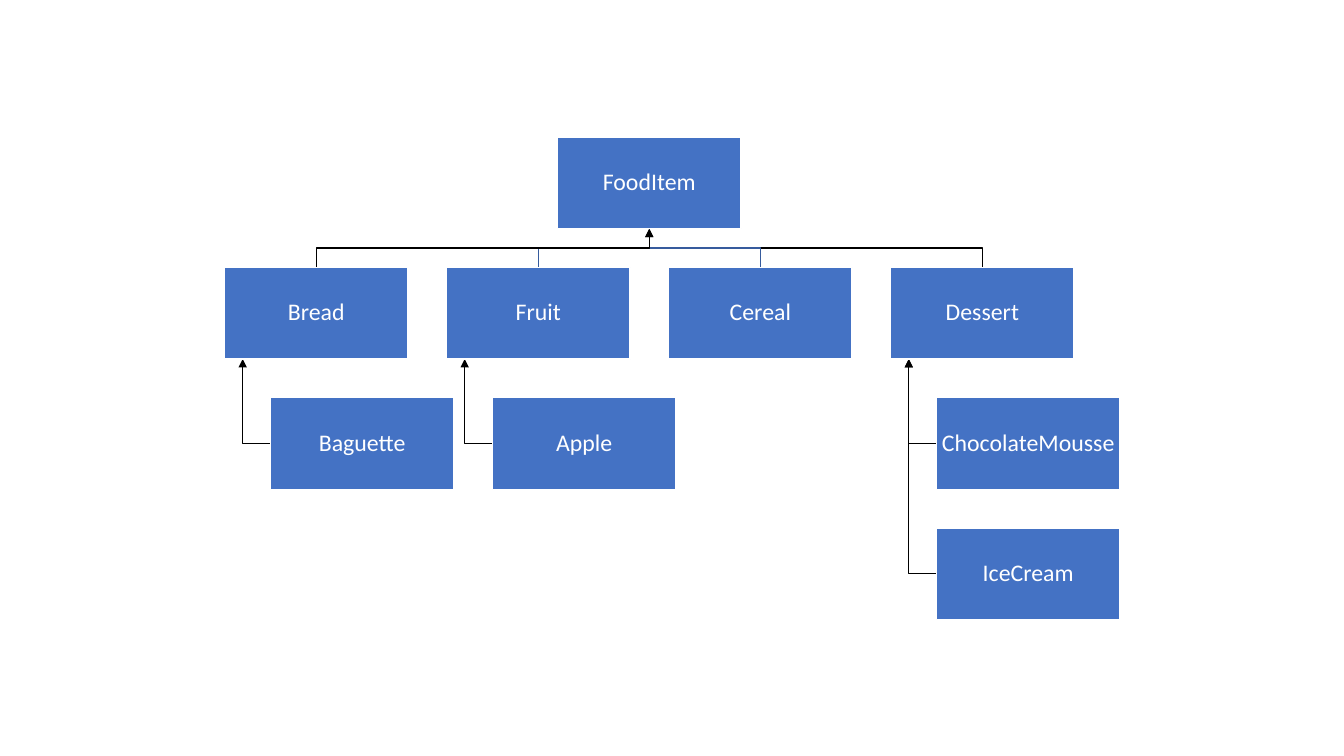
"""Build a class hierarchy slide for food items."""
from lxml import etree
from pptx import Presentation
from pptx.dml.color import RGBColor
from pptx.enum import shapes, text
from pptx.oxml import ns
from pptx.util import Inches, Pt

BLUE = RGBColor(0x44, 0x72, 0xC4)
DARK_BLUE = RGBColor(0x36, 0x5B, 0x9D)
BLACK = RGBColor(0, 0, 0)
WHITE = RGBColor(255, 255, 255)

BOX_W, BOX_H = 1.82, 0.91
ROOT_X, ROOT_Y = 5.53, 1.36
COL_STEP, ROW_STEP = BOX_W * 1.21, BOX_H * 1.42
LEFT = ROOT_X - 1.5 * COL_STEP
INDENT, TRUNK = BOX_W / 4, 0.18
GAP = ROW_STEP - BOX_H

ROOT = "FoodItem"
CLASSES = [
    ("Bread", ["Baguette"], True),
    ("Fruit", ["Apple"], False),
    ("Cereal", [], False),
    ("Dessert", ["ChocolateMousse", "IceCream"], True),
]


def add_box(s, name, x, y):
    """Add a class box with its centred name."""
    sp = s.shapes.add_shape(shapes.MSO_SHAPE.RECTANGLE, Inches(x), Inches(y),
                            Inches(BOX_W), Inches(BOX_H))
    sp.shadow.inherit = False
    sp.fill.solid()
    sp.fill.fore_color.rgb = BLUE
    sp.line.color.rgb = WHITE
    sp.line.width = Pt(1)
    tf = sp.text_frame
    tf.margin_left = tf.margin_right = Inches(0.01)
    tf.margin_top = tf.margin_bottom = Inches(0.01)
    tf.vertical_anchor = text.MSO_ANCHOR.MIDDLE
    tf.word_wrap = True
    tf.text = name
    p = tf.paragraphs[0]
    p.alignment = text.PP_ALIGN.CENTER
    p.line_spacing = 0.9
    r = p.runs[0]
    r.font.name = "Calibri"
    r.font.size = Pt(17)
    r.font.color.rgb = WHITE


def add_elbow(s, points, color=BLACK, arrow=True):
    """Add an angled line, with an optional arrowhead at its first point."""
    points = [(Inches(x), Inches(y)) for x, y in points]
    builder = s.shapes.build_freeform(*points[0])
    builder.add_line_segments(points[1:], close=False)
    sp = builder.convert_to_shape()
    sp.shadow.inherit = False
    sp.fill.background()
    sp.line.color.rgb = color
    sp.line.width = Pt(1)
    if arrow:
        ln = sp.line._get_or_add_ln()
        etree.SubElement(ln, ns.qn("a:headEnd"), type="triangle")


def add_links(s, column):
    """Link one class to the root and its subclasses to the class."""
    _, children, arrow = CLASSES[column]
    x, y = LEFT + column * COL_STEP, ROOT_Y + ROW_STEP
    trunk, bottom = x + TRUNK, y + BOX_H
    for row in range(len(children), 0, -1):
        child_y = y + row * ROW_STEP + BOX_H / 2
        add_elbow(s, [(trunk, bottom), (trunk, child_y), (x + INDENT, child_y)])
    root_x, class_x = ROOT_X + BOX_W / 2, x + BOX_W / 2
    bus_y = y - GAP / 2
    add_elbow(s, [(root_x, y - GAP), (root_x, bus_y), (class_x, bus_y), (class_x, y)],
              BLACK if arrow else DARK_BLUE, arrow)


def add_class(s, column):
    """Add one class box and its subclass boxes."""
    name, children, _ = CLASSES[column]
    x, y = LEFT + column * COL_STEP, ROOT_Y + ROW_STEP
    add_box(s, name, x, y)
    for row, child in enumerate(children, 1):
        add_box(s, child, x + INDENT, y + row * ROW_STEP)


def main():
    """Create the slide and save it."""
    prs = Presentation()
    prs.slide_width, prs.slide_height = Inches(13.33), Inches(7.5)
    s = prs.slides.add_slide(prs.slide_layouts[6])
    for column in reversed(range(len(CLASSES))):
        add_links(s, column)
    add_box(s, ROOT, ROOT_X, ROOT_Y)
    for column in range(len(CLASSES)):
        add_class(s, column)
    prs.save("out.pptx")


main()
